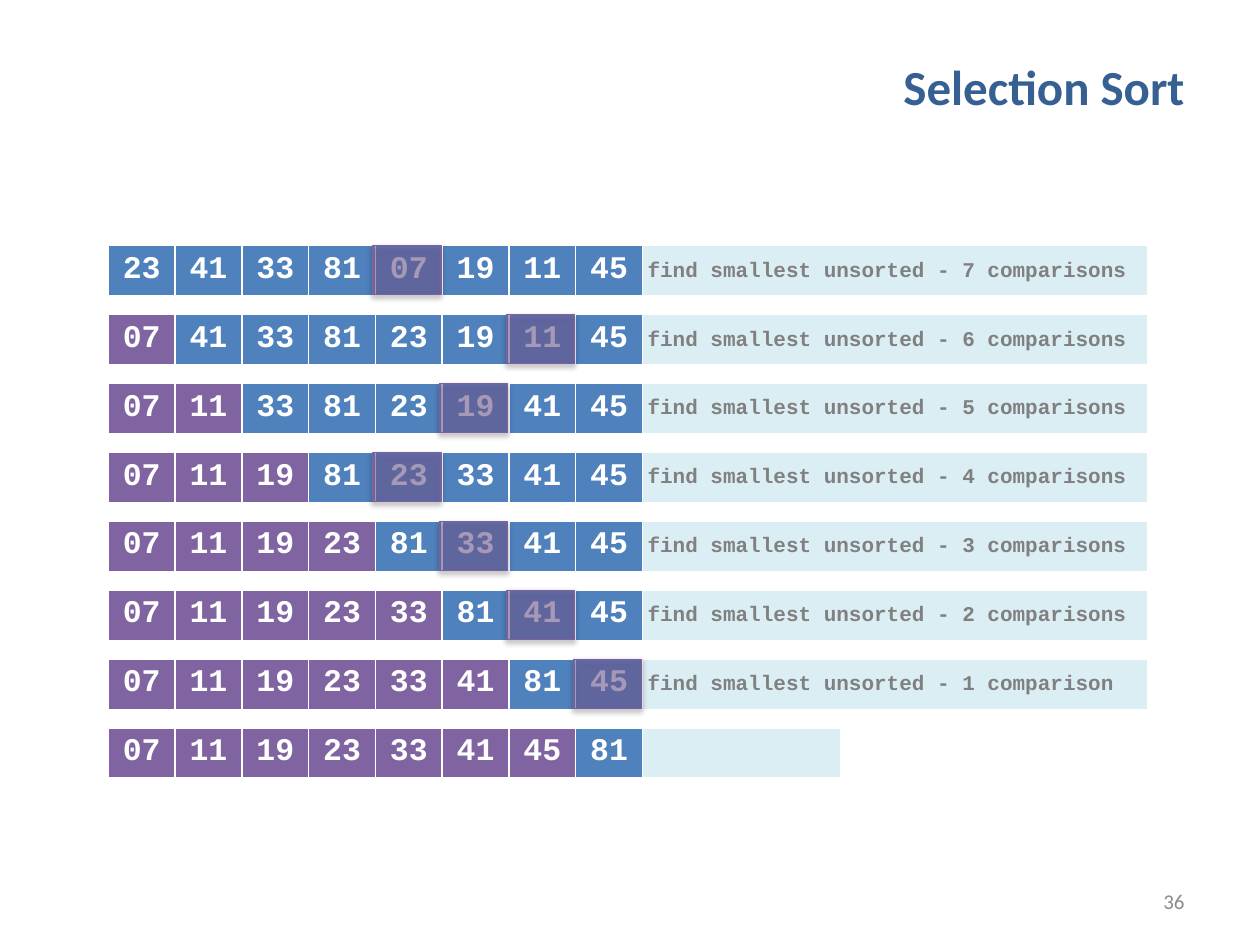
from lxml import etree
from pptx import Presentation
from pptx import util as u
from pptx.dml.color import RGBColor
from pptx.enum import shapes, text
from pptx.oxml import ns

INK = {
    "title": "376092", "page": "8C8C8C", "white": "FFFFFF", "note": "808080",
    "open": "4F81BD", "done": "8064A2", "pale": "DBEEF4", "edge": "7D60A0",
    "shade": "000000",
}
START = [23, 41, 33, 81, 7, 19, 11, 45]

# Grid of the sorting steps, in inches
LEFT, TOP = 0.86, 1.95
COL, ROW, STEP = 0.53, 0.41, 0.547
NOTE, TAIL = 4.01, 1.57


def rgb(name):
    return RGBColor.from_string(INK[name])


def sub(parent, tag, **attrs):
    node = etree.SubElement(parent, ns.qn(tag))
    for key, value in attrs.items():
        node.set(key, str(value))
    return node


def style(frame, size, color, face, bold=True, align=text.PP_ALIGN.LEFT):
    para = frame.paragraphs[0]
    para.alignment = align
    font = para.font
    font.name, font.size, font.bold = face, u.Pt(size), bold
    font.color.rgb = rgb(color)


def place(shape, left, top, width, height):
    shape.left, shape.top = u.Inches(left), u.Inches(top)
    shape.width, shape.height = u.Inches(width), u.Inches(height)


def label(shape, words, size, color, bold):
    frame = shape.text_frame
    frame.text = words
    frame.word_wrap = True
    frame.vertical_anchor = text.MSO_ANCHOR.MIDDLE
    style(frame, size, color, "Calibri", bold, text.PP_ALIGN.RIGHT)


def border(cell):
    props = cell._tc.get_or_add_tcPr()
    for side, width in (("L", 1), ("R", 1), ("T", 1), ("B", 3)):
        line = sub(props, "a:ln" + side, w=u.Pt(width))
        sub(sub(line, "a:solidFill"), "a:srgbClr", val=INK["white"])


def fill_cell(cell, words, fill, size, color, align):
    border(cell)
    cell.fill.solid()
    cell.fill.fore_color.rgb = rgb(fill)
    cell.margin_left = cell.margin_right = u.Inches(0.04)
    cell.margin_top = cell.margin_bottom = u.Inches(0.05)
    cell.text = words
    style(cell.text_frame, size, color, "Courier New", align=align)


def add_row(slide, step, nums, note):
    """One state of the list: the first `step` numbers are sorted."""
    count = len(nums)
    last = NOTE if note else TAIL
    frame = slide.shapes.add_table(
        1, count + 1, u.Inches(LEFT), u.Inches(TOP + step * STEP),
        u.Inches(count * COL + last), u.Inches(ROW))
    table = frame.table
    table.first_row = table.horz_banding = False
    table.rows[0].height = u.Inches(ROW)
    for i, num in enumerate(nums):
        table.columns[i].width = u.Inches(COL)
        fill_cell(table.cell(0, i), f"{num:02d}", "done" if i < step else "open",
                  18, "white", text.PP_ALIGN.CENTER)
    table.columns[count].width = u.Inches(last)
    cell = table.cell(0, count)
    fill_cell(cell, note, "pale", 12, "note", text.PP_ALIGN.LEFT)
    cell.vertical_anchor = text.MSO_ANCHOR.MIDDLE


def add_mark(slide, step, spot):
    """Translucent box over the smallest unsorted number."""
    box = slide.shapes.add_shape(shapes.MSO_SHAPE.RECTANGLE, 0, 0, 0, 0)
    place(box, LEFT + spot * COL - 0.02, TOP + step * STEP, COL + 0.01, 0.39)
    box.fill.solid()
    box.fill.fore_color.rgb = rgb("done")
    box.line.color.rgb = rgb("edge")
    box.line.width = u.Pt(0.75)
    box.shadow.inherit = False
    props = box._element.spPr
    tint = props.find(ns.qn("a:solidFill")).find(ns.qn("a:srgbClr"))
    sub(tint, "a:alpha", val=50000)
    shade = sub(props.find(ns.qn("a:effectLst")), "a:outerShdw",
                blurRad=u.Pt(3.1), dist=u.Pt(1.6), dir=90 * 60000, rotWithShape=0)
    sub(sub(shade, "a:srgbClr", val=INK["shade"]), "a:alpha", val=38000)


def main():
    deck = Presentation()
    deck.slide_width, deck.slide_height = u.Inches(10), u.Inches(7.5)
    slide = deck.slides.add_slide(deck.slide_layouts[5])

    # Title and page number
    place(slide.shapes.title, 1.61, 0.38, 7.89, 0.61)
    label(slide.shapes.title, "Selection Sort", 28, "title", True)
    page = slide.shapes.add_textbox(0, 0, 0, 0)
    place(page, 7.17, 6.95, 2.33, 0.4)
    label(page, "36", 12, "page", False)

    # Run the sort, drawing each state before its swap
    nums, marks = list(START), []
    for step in range(len(nums)):
        left = len(nums) - step - 1
        ending = "" if left == 1 else "s"
        note = f"find smallest unsorted - {left} comparison{ending}" if left else ""
        add_row(slide, step, nums, note)
        if left:
            spot = nums.index(min(nums[step:]))
            marks.append(spot)
            nums[step], nums[spot] = nums[spot], nums[step]

    # Marks lie in front of all the rows
    for step, spot in enumerate(marks):
        add_mark(slide, step, spot)

    deck.save("out.pptx")


if __name__ == "__main__":
    main()
